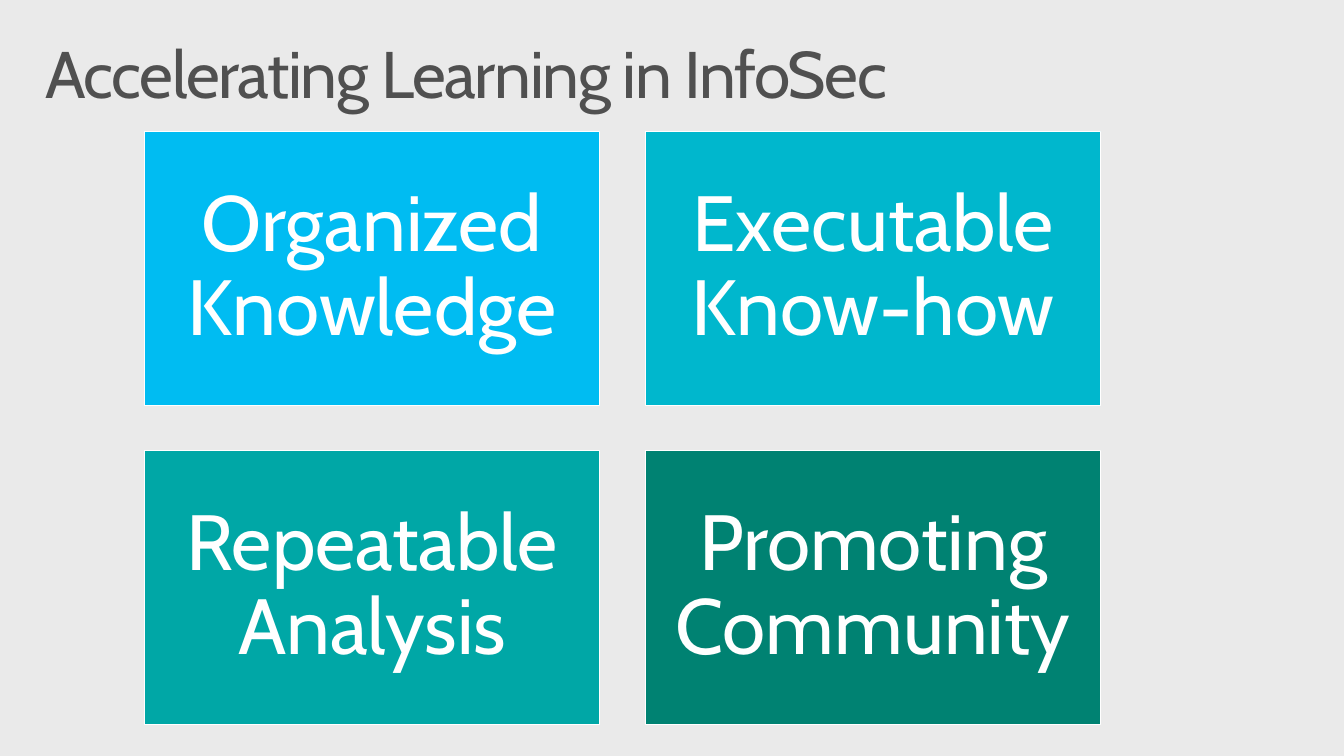
from pptx import Presentation
from pptx.dml.color import RGBColor
from pptx.enum.shapes import MSO_SHAPE
from pptx.enum.text import MSO_ANCHOR, PP_ALIGN
from pptx.util import Pt

RECT = MSO_SHAPE.RECTANGLE
TOP, MIDDLE = MSO_ANCHOR.TOP, MSO_ANCHOR.MIDDLE
LEFT, CENTER = PP_ALIGN.LEFT, PP_ALIGN.CENTER

THEME = {
    "font": "Cabin",
    "background": RGBColor.from_string("EAEAEA"),
    "title": RGBColor.from_string("505050"),
    "white": RGBColor.from_string("FFFFFF"),
    "title_size": Pt(48),
    "card_size": Pt(57),
}

CARDS = [
    ("Organized Knowledge", "00BCF2"),
    ("Executable Know-how", "00B7CD"),
    ("Repeatable Analysis", "00A7A6"),
    ("Promoting Community", "008272"),
]
COLUMNS = 2
CARD_LEFT, CARD_TOP = 105.1, 95.8
CARD_WIDTH, CARD_HEIGHT = 331.9, 199.4
GAP = 33.1


def write_text(sp, text, frame_format, align, font_format):
    tf = sp.text_frame
    for name, value in frame_format.items():
        setattr(tf, name, value)
    p = tf.paragraphs[0]
    p.alignment = align
    p.line_spacing = 0.9
    r = p.add_run()
    r.text = text
    for name, value in font_format.items():
        setattr(r.font, name, value)
    r.font.color.rgb = THEME["title"] if sp == title else THEME["white"]
    return r


prs = Presentation()
prs.slide_width, prs.slide_height = Pt(979.2), Pt(550.8)
s = prs.slides.add_slide(prs.slide_layouts[6])
s.background.fill.solid()
s.background.fill.fore_color.rgb = THEME["background"]

title = s.shapes.add_textbox(Pt(21.6), Pt(23), Pt(936), Pt(72))
title_frame = {
    "word_wrap": True,
    "vertical_anchor": TOP,
    "margin_left": Pt(11.5),
    "margin_right": Pt(11.5),
    "margin_top": Pt(7.2),
    "margin_bottom": Pt(7.2),
}
title_font = {"name": THEME["font"], "size": THEME["title_size"]}
r = write_text(title, "Accelerating Learning in InfoSec", title_frame, LEFT, title_font)
r.font._element.set("spc", "-100")

card_frame = {"word_wrap": True, "vertical_anchor": MIDDLE}
for side in ("left", "right", "top", "bottom"):
    card_frame[f"margin_{side}"] = Pt(17.3)
card_font = {"name": THEME["font"], "size": THEME["card_size"]}

for i, (text, color) in enumerate(CARDS):
    row, column = divmod(i, COLUMNS)
    x = CARD_LEFT + column * (CARD_WIDTH + GAP)
    y = CARD_TOP + row * (CARD_HEIGHT + GAP)
    sp = s.shapes.add_shape(RECT, Pt(x), Pt(y), Pt(CARD_WIDTH), Pt(CARD_HEIGHT))
    sp.shadow.inherit = False
    sp.fill.solid()
    sp.fill.fore_color.rgb = RGBColor.from_string(color)
    sp.line.color.rgb = THEME["white"]
    sp.line.width = Pt(0.85)
    write_text(sp, text, card_frame, CENTER, card_font)

prs.save("out.pptx")
